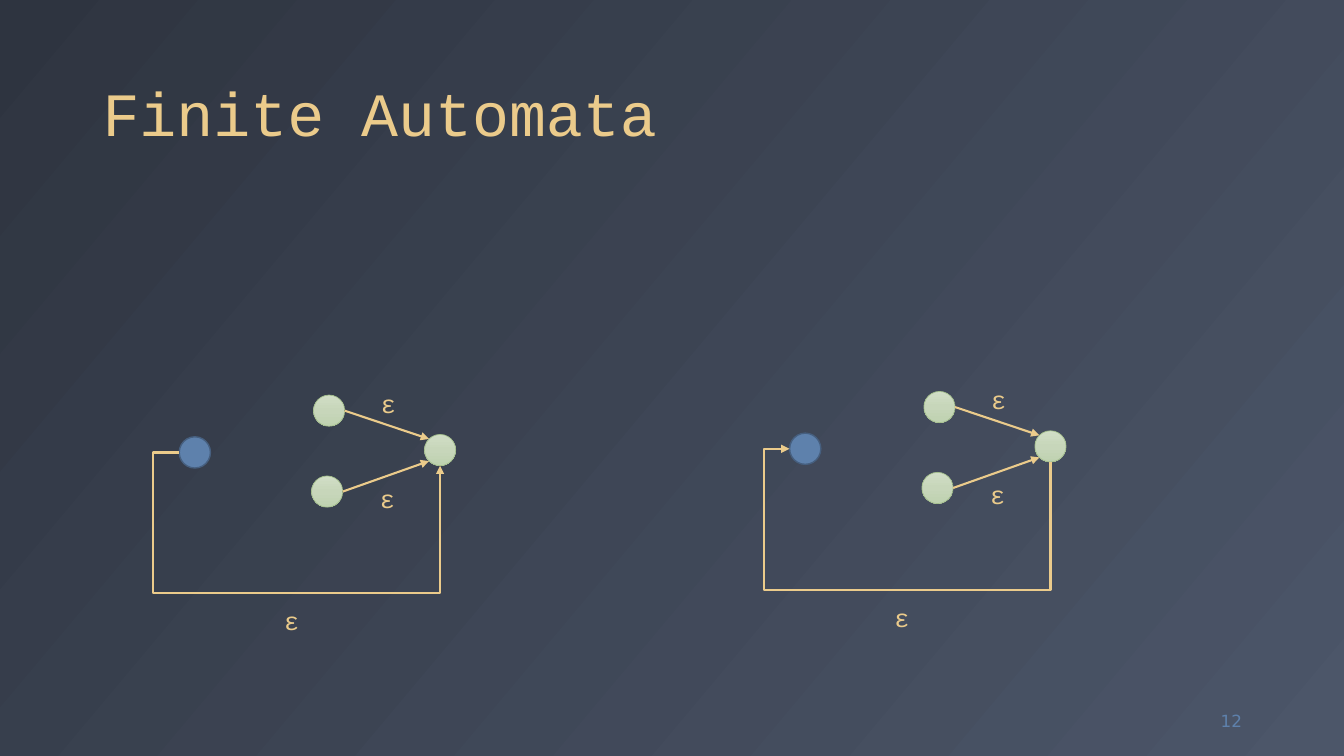
from lxml.etree import SubElement
from pptx import Presentation
from pptx.dml.color import RGBColor
from pptx.enum.shapes import MSO_CONNECTOR, MSO_SHAPE
from pptx.enum.text import MSO_ANCHOR, MSO_AUTO_SIZE, PP_ALIGN
from pptx.oxml.ns import qn
from pptx.util import Pt

COLORS = {
    "sand": "EBCB8B",
    "blue": "5E81AC",
    "navy": "465F7F",
    "green": "A3BE8C",
}
NIGHT = ((0, "2E3440"), (100, "4C5669"))
LEAF = ((0, "D1DEC6"), (50, "C7D6BA"), (100, "BFD2B0"))

TITLE = {
    "frame": {"word_wrap": True, "vertical_anchor": MSO_ANCHOR.BOTTOM},
    "para": {"line_spacing": 0.9},
    "font": {"size": Pt(44), "name": "Courier New"},
    "color": "sand",
}
NUMBER = {
    "frame": {"word_wrap": True, "vertical_anchor": MSO_ANCHOR.MIDDLE},
    "para": {"alignment": PP_ALIGN.RIGHT},
    "font": {"size": Pt(12), "name": "DejaVu Sans"},
    "color": "blue",
}
LABEL = {
    "frame": {"word_wrap": False, "auto_size": MSO_AUTO_SIZE.SHAPE_TO_FIT_TEXT},
    "para": {},
    "font": {"size": Pt(18), "name": "Courier New"},
    "color": "sand",
}

SIZE = 22.3
SITES = {
    "upper": (1, 0.146, 0.146),
    "left": (2, 0, 0.5),
    "lower": (3, 0.146, 0.854),
    "bottom": (4, 0.5, 1),
    "right": (6, 1, 0.5),
}


def rgb(name):
    return RGBColor.from_string(COLORS[name])


def apply(target, values):
    for name, value in values.items():
        setattr(target, name, value)


def shade(fill, stops, angle):
    fill.gradient()
    fill.gradient_angle = 360 - angle
    rows = fill.gradient_stops[0]._gs.getparent()
    for old in list(rows):
        rows.remove(old)
    for place, color in stops:
        stop = SubElement(rows, qn("a:gs"), pos=str(place * 1000))
        SubElement(stop, qn("a:srgbClr"), val=color)


def write(slide, box, text, style):
    frame = slide.shapes.add_textbox(*map(Pt, box)).text_frame
    apply(frame, style["frame"])
    para = frame.paragraphs[0]
    apply(para, style["para"])
    run = para.add_run()
    run.text = text
    apply(run.font, style["font"])
    run.font.color.rgb = rgb(style["color"])


def add_state(slide, x, y, start=False):
    state = slide.shapes.add_shape(
        MSO_SHAPE.OVAL, Pt(x), Pt(y), Pt(SIZE), Pt(SIZE))
    state.shadow.inherit = False
    if start:
        state.fill.solid()
        state.fill.fore_color.rgb = rgb("blue")
    else:
        shade(state.fill, LEAF, 90)
    state.line.color.rgb = rgb("navy" if start else "green")
    state.line.width = Pt(1 if start else 0.5)
    return state


def add_arrow(slide, kind, first, leave, last, enter, tip="tailEnd"):
    ends = []
    for state, side in ((first, leave), (last, enter)):
        site, across, down = SITES[side]
        ends += [int(state.left + across * state.width),
                 int(state.top + down * state.height)]
    arrow = slide.shapes.add_connector(kind, *ends)
    arrow.line.color.rgb = rgb("sand")
    arrow.line.width = Pt(1.5)
    SubElement(arrow.line._get_or_add_ln(), qn("a:" + tip), type="triangle")
    SubElement(arrow._element.spPr, qn("a:effectLst"))
    links = arrow._element.find(".//" + qn("p:cNvCxnSpPr"))
    for tag, state, side in (("stCxn", first, leave), ("endCxn", last, enter)):
        SubElement(links, qn("a:" + tag),
                   id=str(state.shape_id), idx=str(SITES[side][0]))
    return arrow


def add_loop(slide, start, final, tip):
    loop = add_arrow(slide, MSO_CONNECTOR.ELBOW, start, "left", final, "bottom", tip)
    frame = loop._element.spPr.find(qn("a:xfrm"))
    for name, value in {"rot": "10800000", "flipH": "1", "flipV": "1"}.items():
        frame.set(name, value)
    shape = loop._element.spPr.find(qn("a:prstGeom"))
    shape.set("prst", "bentConnector4")
    guides = shape.find(qn("a:avLst"))
    ratios = (Pt(-18.4) / loop.width, Pt(100.8) / loop.height)
    for index, ratio in enumerate(ratios, 1):
        SubElement(guides, qn("a:gd"), name=f"adj{index}",
                   fmla=f"val {round(ratio * 100000)}")


def add_graph(slide, x, y, tip):
    start = add_state(slide, x + 18.6, y + 38.4, True)
    upper = add_state(slide, x + 114.5, y + 8.6)
    lower = add_state(slide, x + 113.1, y + 66.4)
    final = add_state(slide, x + 193.8, y + 36.7)
    for state, side in ((upper, "upper"), (lower, "lower")):
        add_arrow(slide, MSO_CONNECTOR.STRAIGHT, state, "right", final, side)
    add_loop(slide, start, final, tip)
    for left, top in ((155.5, 0), (154.8, 68.2), (86.4, 155.5)):
        write(slide, (x + left, y + top, 25.2, 28.8), "ε", LABEL)


def main():
    deck = Presentation()
    deck.slide_width, deck.slide_height = Pt(960), Pt(540)
    slide = deck.slides.add_slide(deck.slide_layouts[6])
    shade(slide.background.fill, NIGHT, 40)
    write(slide, (66.2, 13, 828, 97.9), "Finite Automata", TITLE)
    write(slide, (834.5, 500.4, 59.8, 28.8), "12", NUMBER)
    add_graph(slide, 109.4, 273.6, "tailEnd")
    add_graph(slide, 545.4, 271, "headEnd")
    deck.save("out.pptx")


if __name__ == "__main__":
    main()
